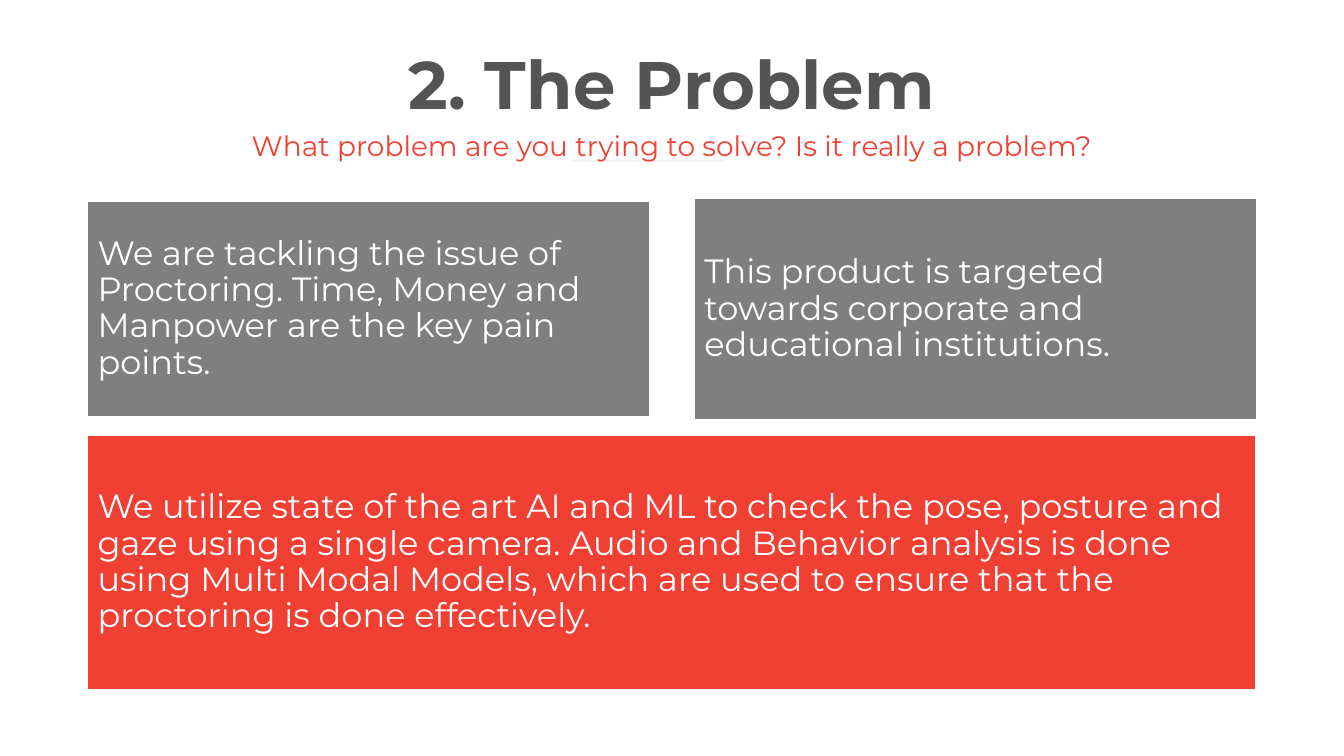
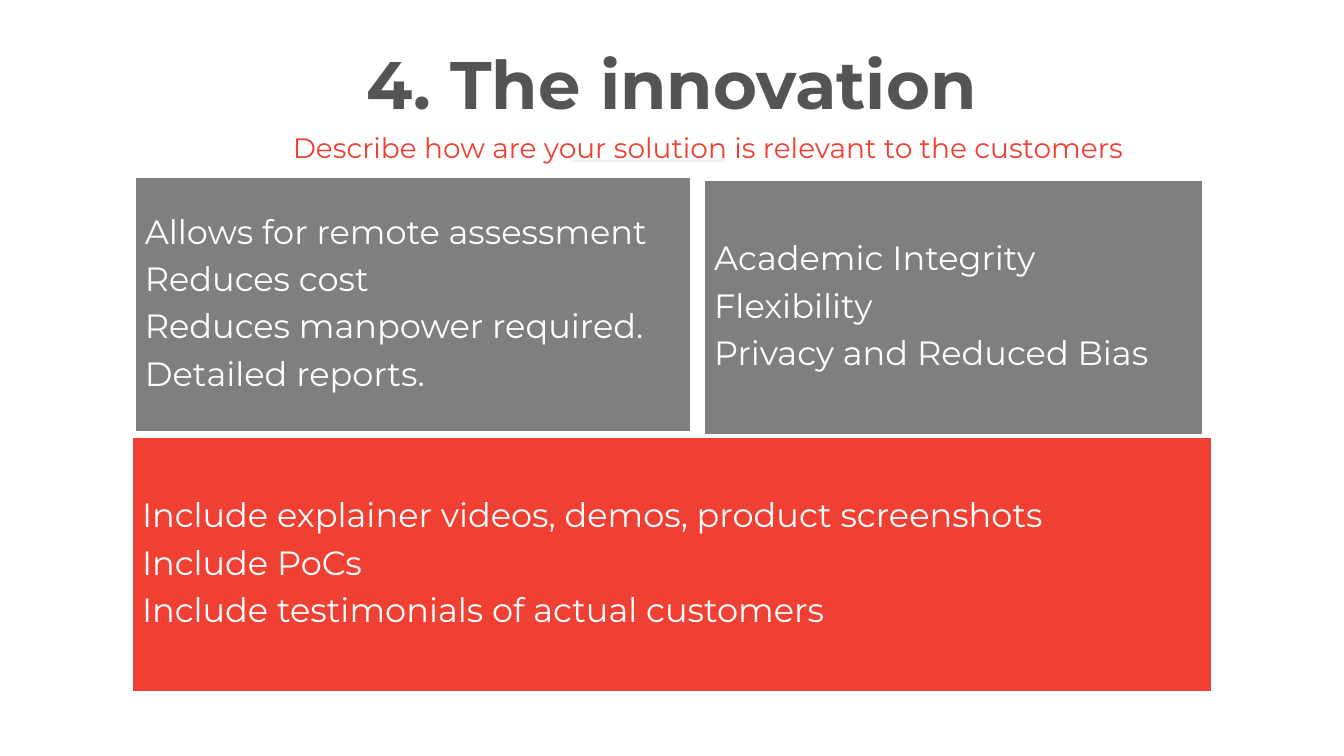
"""Build two pitch slides: a title, a tagline and three panels each."""
import dataclasses

import pptx
import pptx.dml.color
import pptx.enum.shapes
import pptx.enum.text
import pptx.util
from lxml import etree
from pptx.oxml.ns import qn

Cm = pptx.util.Cm
Pt = pptx.util.Pt
RGB = pptx.dml.color.RGBColor.from_string
Align = pptx.enum.text.PP_ALIGN
Anchor = pptx.enum.text.MSO_ANCHOR

SLIDES = [
    {
        "title": "2. The Problem",
        "tag": "What problem are you trying to solve? Is it really a problem?",
        "tag_box": (4.75, 3.12, 24.36, 1.12),
        "panels": [
            ("gray", (2.21, 5.08, 14.17, 5.41),
             ["We are tackling the issue of Proctoring. Time, Money and "
              "Manpower are the key pain points."]),
            ("gray", (17.5, 5, 14.17, 5.59),
             ["This product is targeted towards corporate and educational "
              "institutions."]),
            ("red", (2.21, 10.97, 29.44, 6.4),
             ["We utilize state of the art AI and ML to check the pose, "
              "posture and gaze using a single camera. Audio and Behavior "
              "analysis is done using Multi Modal Models, which are used to "
              "ensure that the proctoring is done effectively."]),
        ],
    },
    {
        "title": "4. The innovation",
        "tag": "Describe how are your solution is relevant to the customers ",
        "tag_box": (4.75, 3.15, 26.37, 1.12),
        "panels": [
            ("red", (3.33, 11.02, 27.2, 6.4),
             ["Include explainer videos, demos, product screenshots",
              "Include PoCs",
              "Include testimonials of actual customers"]),
            ("gray", (3.4, 4.47, 14.02, 6.4),
             ["Allows for remote assessment",
              "Reduces cost",
              "Reduces manpower required.",
              "Detailed reports."]),
            ("gray", (17.75, 4.55, 12.55, 6.4),
             ["Academic Integrity",
              "Flexibility",
              "Privacy and Reduced Bias"]),
        ],
    },
]

TITLE_BOX = (2.08, 1.32, 29.69, 1.9)
RULE = (14.4, 4.06, 18.26, 4.06)


@dataclasses.dataclass(frozen=True)
class Theme:
    """Colours, font and type sizes."""
    font: str = "Montserrat"
    dark: str = "545454"
    red: str = "F04034"
    gray: str = "7F7F7F"
    pale: str = "F2F2F2"
    white: str = "FFFFFF"
    title: int = 48
    tag: int = 20
    body: int = 24


THEME = Theme()


def write(frame, lines, size, color, bold=False, align=Align.LEFT,
          pitch=1.0, after=0):
    """Fill a text frame with evenly styled paragraphs."""
    frame.word_wrap = True
    frame.text = "\n".join(lines)
    for para in frame.paragraphs:
        para.alignment = align
        para.line_spacing = pitch
        para.space_before = Pt(0)
        para.space_after = Pt(after)
        font = para.font
        font.name, font.size, font.bold = THEME.font, Pt(size), bold
        font.color.rgb = RGB(color)


def head(shape, box, text, *style, **more):
    """Place and fill a heading placeholder."""
    shape.left, shape.top, shape.width, shape.height = map(Cm, box)
    frame = shape.text_frame
    write(frame, [text], *style, align=Align.CENTER, **more)
    frame.vertical_anchor = Anchor.TOP
    frame.auto_size = pptx.enum.text.MSO_AUTO_SIZE.SHAPE_TO_FIT_TEXT


def rule(slide):
    """Draw the pale rule behind the headings."""
    line = slide.shapes.add_connector(
        pptx.enum.shapes.MSO_CONNECTOR.STRAIGHT, *map(Cm, RULE))
    line.line.color.rgb = RGB(THEME.pale)
    line.line.width = Pt(2)
    etree.SubElement(line.element.spPr, qn("a:effectLst"))
    slide.shapes.title.element.addprevious(line.element)


def panel(slide, fill, box, lines):
    """Add a filled panel with its text."""
    shape = slide.shapes.add_shape(
        pptx.enum.shapes.MSO_SHAPE.RECTANGLE, *map(Cm, box))
    shape.shadow.inherit = False
    shape.fill.solid()
    shape.fill.fore_color.rgb = RGB(getattr(THEME, fill))
    shape.line.color.rgb = RGB(THEME.white)
    shape.line.width = Pt(1)
    frame = shape.text_frame
    frame.vertical_anchor = Anchor.MIDDLE
    frame.margin_left = frame.margin_right = Cm(0.25)
    frame.margin_top = frame.margin_bottom = Cm(0.25)
    write(frame, lines, THEME.body, THEME.white, pitch=0.9, after=8)


def main():
    """Build and save the deck."""
    deck = pptx.Presentation()
    deck.slide_width, deck.slide_height = Cm(33.87), Cm(19.05)
    for item in SLIDES:
        slide = deck.slides.add_slide(deck.slide_layouts[0])
        head(slide.shapes.title, TITLE_BOX, item["title"],
             THEME.title, THEME.dark, bold=True, pitch=0.8)
        head(slide.placeholders[1], item["tag_box"], item["tag"],
             THEME.tag, THEME.red)
        rule(slide)
        for part in item["panels"]:
            panel(slide, *part)
    deck.save("out.pptx")


if __name__ == "__main__":
    main()
